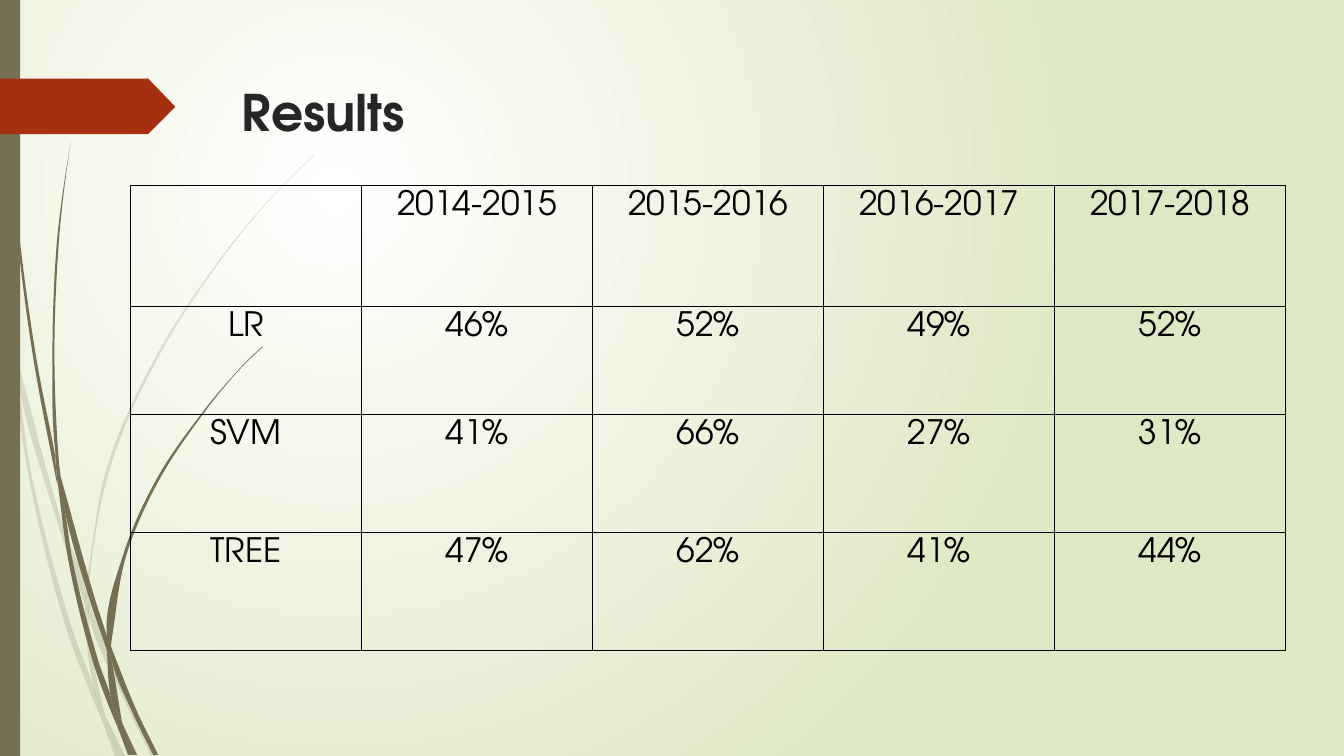
from dataclasses import dataclass
from math import hypot
from pptx import Presentation, util as u
from pptx.dml.color import RGBColor
from pptx.enum import shapes, text
from pptx.oxml import parse_xml
from pptx.oxml.ns import nsdecls, qn

# Grid: one cell is a hundredth of an inch
CELL = u.Inches(0.01)
COLS, ROWS = 1333, 750
FONT = "TeX Gyre Adventor"
WHITE = RGBColor(0xFF, 0xFF, 0xFF)
LIME = RGBColor(0xDF, 0xE8, 0xC4)
OLIVE = RGBColor(0x76, 0x6F, 0x54)
RED = RGBColor(0xA5, 0x30, 0x10)
INK = RGBColor(0x26, 0x26, 0x26)
BLACK = RGBColor(0, 0, 0)


@dataclass
class Tuft:
    alpha: int
    blades: list[str]


# Outlines as column,row knots; soft bends are rounded, sharp ones kept
PALE = Tuft(20, [
    "11,350 9,322 0,282 0,299 10,344",
    "58,522 84,599 85,586 62,520 14,345 17,376",
    "92,607 88,596 88,610 123,694 150,751 155,751 127,692",
    "119,751 124,751 105,711",
    "93,683 70,619 31,469 17,376 11,350 28,470 65,621 92,693 101,714 99,707",
    "84,599 87,646 93,683 96,692 105,711 103,706 91,646 88,610 88,608",
    "88,584 110,462 160,349 229,245 268,198 290,175 312,154 312,153 289,175"
    " 268,197 228,244 158,348 107,461 85,584 85,586 88,596",
    "101,714 114,751 119,751",
    "88,608 88,610 88,596 85,586 84,599",
    "96,692 93,683 99,707 101,714 119,751 105,711",
])
DARK = Tuft(100, [
    "7,110 17,233 33,355 56,477 57,481 55,457 55,453 36,355 19,232 8,109 5,48 4,0 3,0 4,48",
    "88,592 106,645 106,633 106,631 93,590 60,472 64,505",
    "113,649 110,641 111,656 132,708 152,749 157,749 136,706",
    "110,691 98,657 72,556 64,505 57,477 68,557 93,659 111,708 117,722 116,717",
    "60,472 58,453 54,349 58,245 63,193 70,141 62,193 56,245 52,349 55,449",
    "133,749 136,749 122,719",
    "57,477 64,505 60,472 55,449 55,453",
    "111,633 125,552 158,476 205,406 231,374 245,359 261,344 260,344 245,358"
    " 231,373 204,405 156,474 122,551 106,631 110,641",
    "117,722 127,749 131,749",
    "106,645 110,691 116,706 122,719 121,716 111,656 109,651",
    "106,645 109,651 111,656 110,641 106,631 106,633",
    "116,706 110,691 116,717 117,722 130,749 133,749 122,719",
])
TAG = "0,78 147,78 174,106 147,133 0,133"

HEAD = ["", "2014-2015", "2015-2016", "2016-2017", "2017-2018"]
DATA = [
    HEAD,
    ["LR", "46%", "52%", "49%", "52%"],
    ["SVM", "41%", "66%", "27%", "31%"],
    ["TREE", "47%", "62%", "41%", "44%"],
]
TALL = [120, 107, 117, 117]
WIDE = 229.2


def put(obj, **vals) -> None:
    for key, val in vals.items():
        setattr(obj, key, val)


def unit(a: tuple, b: tuple) -> tuple:
    size = hypot(b[0] - a[0], b[1] - a[1])
    return (b[0] - a[0]) / size, (b[1] - a[1]) / size


def slope(a: tuple, b: tuple, c: tuple, side: tuple) -> tuple:
    """Unit direction at knot b; at a corner it follows the side's own line."""
    p, q = unit(a, b), unit(b, c)
    if p[0] * q[0] + p[1] * q[1] < 0.8:
        return side
    if min(hypot(b[0] - a[0], b[1] - a[1]), hypot(c[0] - b[0], c[1] - b[1])) > 10:
        return unit((0, 0), (p[0] + q[0], p[1] + q[1]))
    return unit(a, c)


def bend(form, knots: list[tuple]) -> None:
    """Turn each straight side of the outline into a cubic curve."""
    left, top = (min(k[n] for k in knots) for n in (0, 1))
    lines = list(form._element.spPr.iter(qn("a:lnTo")))
    for i, line in enumerate(lines[:len(knots)]):
        a, b, c, d = (knots[(i + k) % len(knots)] for k in (-1, 0, 1, 2))
        side = unit(b, c)
        arm = hypot(c[0] - b[0], c[1] - b[1]) / 3
        out, back = slope(a, b, c, side), slope(b, c, d, side)
        spots = [(b[0] + out[0] * arm, b[1] + out[1] * arm),
                 (c[0] - back[0] * arm, c[1] - back[1] * arm), c]
        pts = "".join(f'<a:pt x="{int((x - left) * CELL)}" y="{int((y - top) * CELL)}"/>'
                      for x, y in spots)
        line.getparent().replace(line, parse_xml(
            f'<a:cubicBezTo {nsdecls("a")}>{pts}</a:cubicBezTo>'))


def paint(shape, color: RGBColor, alpha: int = 100) -> None:
    shape.shadow.inherit = False
    shape.fill.solid()
    shape.fill.fore_color.rgb = color
    shape.line.fill.background()
    if alpha < 100:
        tint = shape._element.spPr.find(".//" + qn("a:srgbClr"))
        tint.append(parse_xml(f'<a:alpha {nsdecls("a")} val="{alpha * 1000}"/>'))


def trace(tree, line: str, color: RGBColor, alpha: int = 100, soft: bool = True) -> None:
    pairs = (map(int, knot.split(",")) for knot in line.split())
    knots = [(x, min(y, ROWS)) for x, y in pairs]
    dots = [(x * CELL, y * CELL) for x, y in knots]
    form = tree.build_freeform(*dots[0])
    form.add_line_segments(dots[1:] + dots[:1] * soft, close=True)
    form = form.convert_to_shape()
    if soft:
        bend(form, knots)
    paint(form, color, alpha)


def write(frame, words: str, align, **style) -> None:
    para = frame.paragraphs[0]
    para.alignment = align
    run = para.add_run()
    run.text = words
    run.font.color.rgb = style.pop("color")
    put(run.font, name=FONT, **style)


def edge(cell) -> None:
    props = cell._tc.get_or_add_tcPr()
    for n, side in enumerate("LRTB"):
        props.insert(n, parse_xml(
            f'<a:ln{side} {nsdecls("a")} w="12700"><a:solidFill>'
            f'<a:srgbClr val="{BLACK}"/></a:solidFill></a:ln{side}>'))


deck = Presentation()
put(deck, slide_width=COLS * CELL, slide_height=ROWS * CELL)
slide = deck.slides.add_slide(deck.slide_layouts[6])
tree = slide.shapes

# Background glow
glow = slide.background.fill
glow.gradient()
for stop, color, spot in zip(glow.gradient_stops, (WHITE, LIME), (0, 1)):
    stop.color.rgb = color
    stop.position = spot
grad = slide.element.find(".//" + qn("a:gradFill"))
grad.replace(grad.find(qn("a:lin")), parse_xml(
    f'<a:path {nsdecls("a")} path="circle">'
    '<a:fillToRect l="50000" t="50000" r="100000" b="100000"/></a:path>'))

# Grass, side bar and tag
for tuft in (PALE, DARK):
    group = tree.add_group_shape()
    for blade in tuft.blades:
        trace(group.shapes, blade, OLIVE, tuft.alpha)
bar = tree.add_shape(shapes.MSO_SHAPE.RECTANGLE, 0, 0, 20 * CELL, ROWS * CELL)
paint(bar, OLIVE)
trace(tree, TAG, RED, soft=False)

# Title
title = tree.add_textbox(230 * CELL, 76 * CELL, 530 * CELL, 88 * CELL).text_frame
put(title, word_wrap=True, vertical_anchor=text.MSO_ANCHOR.TOP)
write(title, "Results", text.PP_ALIGN.LEFT, size=u.Pt(36), bold=True, color=INK)

# Results table
grid = tree.add_table(len(DATA), len(HEAD), int(129.4 * CELL), int(184.3 * CELL),
                      int(WIDE * len(HEAD) * CELL), sum(TALL) * CELL).table
put(grid, first_row=False, horz_banding=False)
for col in grid.columns:
    col.width = int(WIDE * CELL)
for r, line in enumerate(DATA):
    grid.rows[r].height = TALL[r] * CELL
    for c, words in enumerate(line):
        cell = grid.cell(r, c)
        cell.vertical_anchor = text.MSO_ANCHOR.TOP
        cell.fill.background()
        edge(cell)
        if words:
            write(cell.text_frame, words, text.PP_ALIGN.CENTER,
                  size=u.Pt(24), bold=False, color=BLACK)

deck.save("out.pptx")
